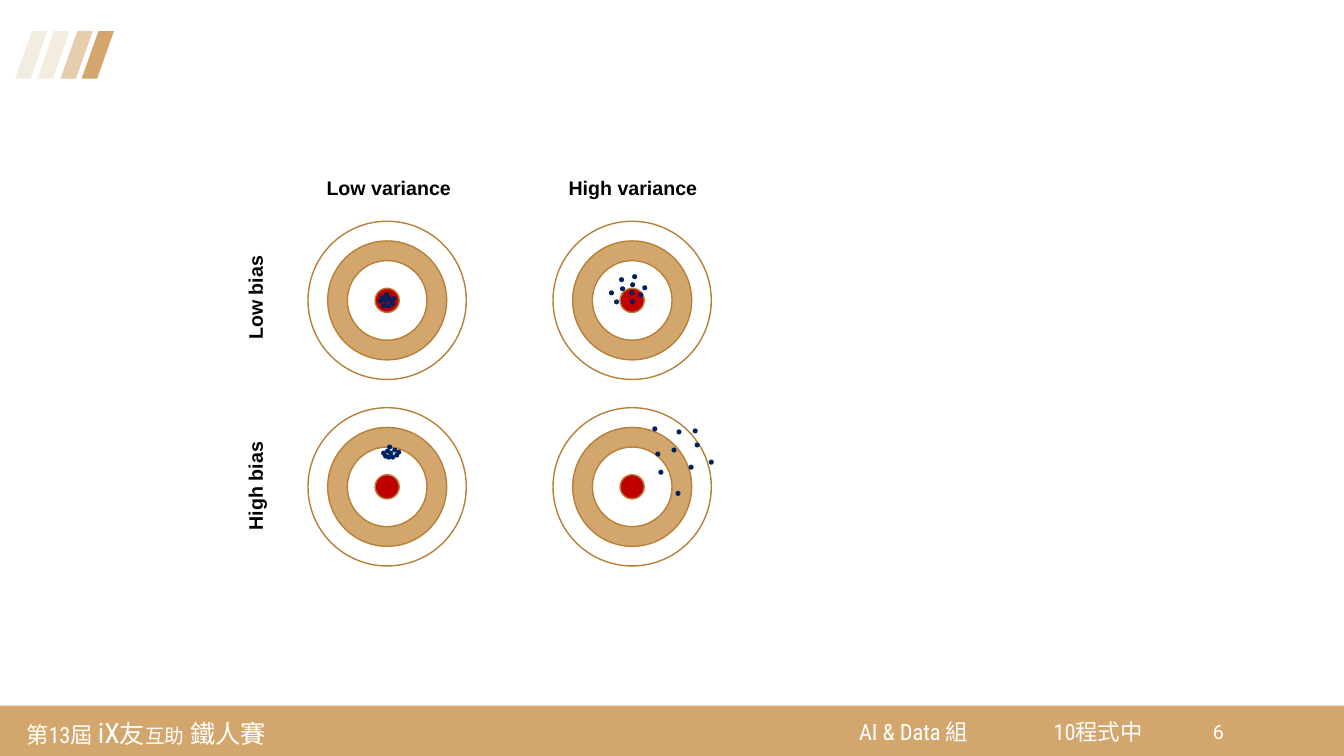
from dataclasses import dataclass

from pptx import Presentation
from pptx.dml.color import RGBColor
from pptx.enum.shapes import MSO_SHAPE
from pptx.enum.text import MSO_ANCHOR
from pptx.util import Inches, Pt


@dataclass(frozen=True)
class Theme:
    tan: str = "D2A66C"
    tan_mid: str = "E6CDAD"
    tan_pale: str = "F2ECE1"
    outline: str = "B78038"
    bullseye: str = "C00000"
    dot: str = "002060"
    white: str = "FFFFFF"
    black: str = "000000"
    label_font: str = "Arial"
    footer_font: str = "Roboto Condensed"
    number_font: str = "Roboto"
    large: int = 20
    medium: int = 18
    normal: int = 16
    small: int = 14


def add_run(p, text, size, font, color, bold=False):
    r = p.add_run()
    r.text = text
    r.font.size = Pt(size)
    r.font.name = font
    r.font.bold = bold
    r.font.color.rgb = RGBColor.from_string(color)


class Deck:
    def __init__(self, theme):
        self.theme = theme
        self.prs = Presentation()
        self.prs.slide_width = Inches(13.33)
        self.prs.slide_height = Inches(7.5)
        self.s = self.prs.slides.add_slide(self.prs.slide_layouts[6])

    def shape(self, kind, x, y, w, h, fill=None, line=None):
        sp = self.s.shapes.add_shape(kind, Inches(x), Inches(y), Inches(w), Inches(h))
        sp.shadow.inherit = False
        if fill:
            sp.fill.solid()
            sp.fill.fore_color.rgb = RGBColor.from_string(fill)
        else:
            sp.fill.background()
        if line:
            sp.line.color.rgb = RGBColor.from_string(line)
            sp.line.width = Pt(1)
        else:
            sp.line.fill.background()
        return sp

    def text(self, x, y, w, h, runs, font, color, bold=False, rotation=0,
             spacing=None, inset=None):
        sp = self.s.shapes.add_textbox(Inches(x), Inches(y), Inches(w), Inches(h))
        sp.rotation = rotation
        tf = sp.text_frame
        tf.word_wrap = True
        if inset:
            tf.vertical_anchor = MSO_ANCHOR.MIDDLE
            tf.margin_left = tf.margin_right = Inches(inset)
            tf.margin_top = tf.margin_bottom = Inches(inset)
        p = tf.paragraphs[0]
        if spacing:
            p.line_spacing = spacing
        for text, size in runs:
            add_run(p, text, size, font, color, bold)

    def label(self, x, y, w, text, rotation=0):
        t = self.theme
        self.text(x, y, w, 0.37, [(text, t.small)], t.label_font, t.black,
                  bold=True, rotation=rotation, spacing=0.9)

    def footer(self, x, y, w, h, runs):
        t = self.theme
        self.text(x, y, w, h, runs, t.footer_font, t.white, inset=0.08)

    def target(self, cx, cy, hits):
        t = self.theme
        rings = [(1.57, None), (1.18, t.tan), (0.79, t.white), (0.24, t.bullseye)]
        for d, fill in rings:
            self.shape(MSO_SHAPE.OVAL, cx - d / 2, cy - d / 2, d, d, fill, t.outline)
        for x, y in hits:
            self.shape(MSO_SHAPE.OVAL, x, y, 0.05, 0.05, t.dot).rotation = 351.7


COLUMNS = [("Low variance", 3.84, 3.14, 1.45), ("High variance", 6.27, 5.54, 1.49)]
ROWS = [("Low bias", 2.98, 2.71), ("High bias", 4.83, 4.6)]
HITS = {
    ("Low bias", "Low variance"): [
        (3.75, 2.96), (3.77, 2.93), (3.8, 2.96), (3.78, 3.01), (3.83, 3.01),
        (3.83, 2.93), (3.86, 2.96), (3.81, 2.9), (3.87, 2.99), (3.88, 2.94)],
    ("Low bias", "High variance"): [
        (6.04, 2.88), (6.24, 2.88), (6.25, 2.97), (6.25, 2.8), (6.33, 2.9),
        (6.14, 2.75), (6.27, 2.72), (6.37, 2.83), (6.09, 2.97), (6.15, 2.84)],
    ("High bias", "Low variance"): [
        (3.78, 4.47), (3.82, 4.45), (3.85, 4.47), (3.8, 4.5), (3.87, 4.51),
        (3.89, 4.44), (3.91, 4.49), (3.84, 4.41), (3.93, 4.46), (3.83, 4.51)],
    ("High bias", "High variance"): [
        (6.5, 4.48), (6.83, 4.61), (6.87, 4.25), (7.03, 4.56), (6.89, 4.39),
        (6.66, 4.44), (6.47, 4.23), (6.53, 4.66), (6.7, 4.87), (6.71, 4.26)],
}


def main():
    t = Theme()
    deck = Deck(t)

    deck.shape(MSO_SHAPE.RECTANGLE, 0, 7, 13.33, 0.5, t.tan)
    deck.footer(0.18, 7.02, 2.83, 0.49, [
        ("第13屆 ", t.normal), ("iX", t.large), ("友", t.medium),
        ("互助", t.small), (" 鐵人賽", t.medium)])
    deck.footer(8.44, 7.04, 1.33, 0.43, [("AI & Data 組", t.normal)])
    deck.footer(10.37, 7.04, 1.33, 0.43, [("10程式中", t.normal)])
    deck.text(11.93, 7.09, 0.42, 0.41, [("6", t.small)], t.number_font, t.white)

    stripes = [(0.81, t.tan), (0.6, t.tan_mid), (0.37, t.tan_pale), (0.15, t.tan_pale)]
    for x, fill in stripes:
        stripe = deck.shape(MSO_SHAPE.PARALLELOGRAM, x, 0.31, 0.32, 0.47, fill)
        stripe.adjustments[0] = 0.52

    for variance, _, x, w in COLUMNS:
        deck.label(x, 1.72, w, variance)
    for bias, cy, y in ROWS:
        deck.label(2, y, 1.15, bias, rotation=270)
        for variance, cx, _, _ in COLUMNS:
            deck.target(cx, cy, HITS[bias, variance])

    deck.prs.save("out.pptx")


if __name__ == "__main__":
    main()
